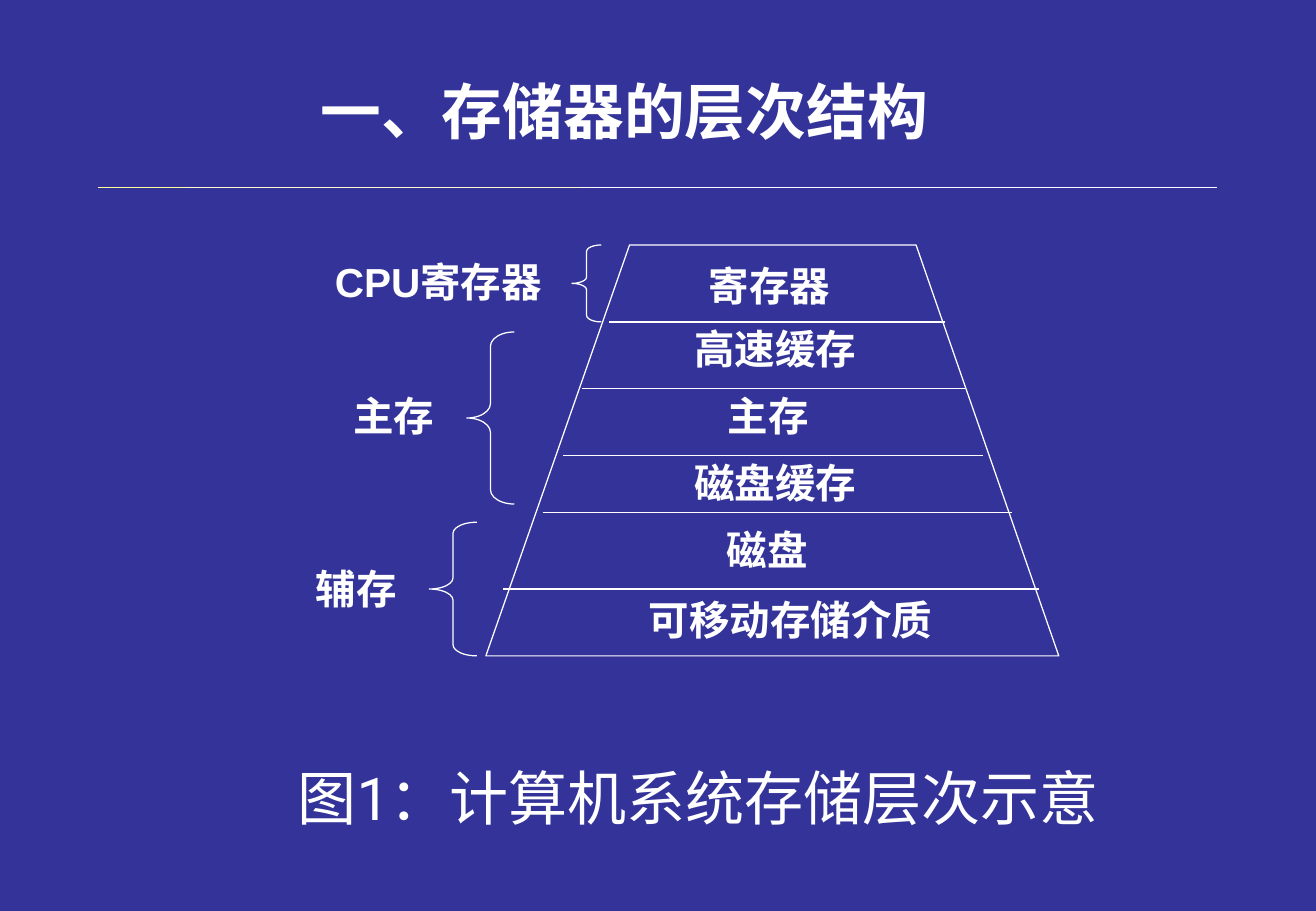
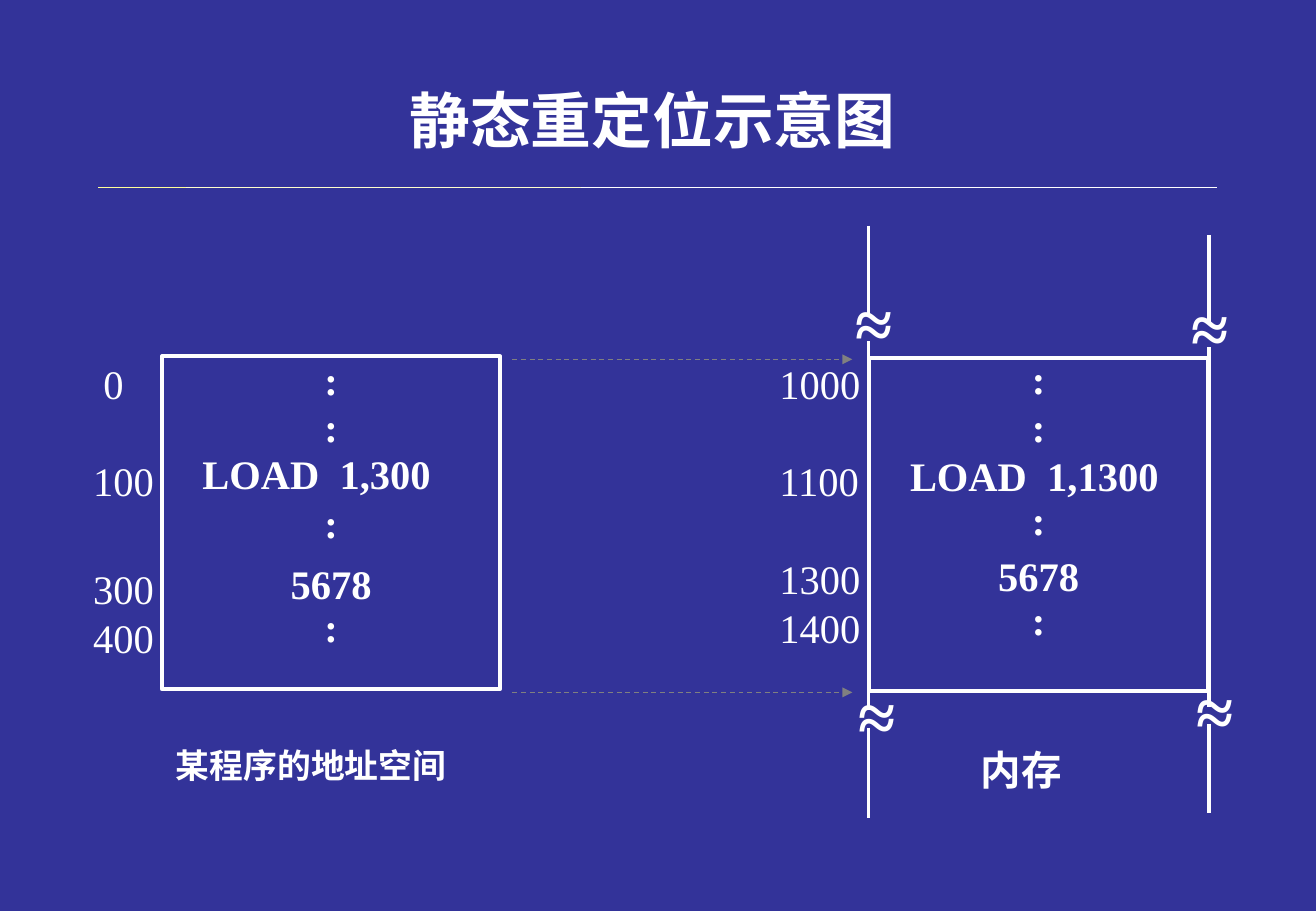
from lxml import etree
from pptx import Presentation
from pptx import util as u
from pptx.dml.color import RGBColor
from pptx.enum import dml, shapes, text
from pptx.oxml.ns import qn

COLORS = {"back": "333399", "white": "FFFFFF", "cream": "FFFFCC",
          "yellow": "FFFF99", "gray": "808080"}
RGB = {k: RGBColor.from_string(v) for k, v in COLORS.items()}
COLS, ROWS = 130, 90
CELL = u.Inches(1 / 12)
LEFT, CENTER = text.PP_ALIGN.LEFT, text.PP_ALIGN.CENTER
CJK = "Noto Sans CJK SC"


def write(sp, at, paras, name="Arial", size=24, bold=True, inset=(1.2, 0.6),
          anchor=text.MSO_ANCHOR.TOP):
    sp.left, sp.top, sp.width, sp.height = [round(v * CELL) for v in at]
    tf = sp.text_frame
    frame = {"word_wrap": True, "auto_size": text.MSO_AUTO_SIZE.NONE,
             "vertical_anchor": anchor,
             "margin_left": round(inset[0] * CELL), "margin_right": round(inset[0] * CELL),
             "margin_top": round(inset[1] * CELL), "margin_bottom": round(inset[1] * CELL)}
    for key, value in frame.items():
        setattr(tf, key, value)
    for i, (words, align, lead, before, indent) in enumerate(paras):
        p = tf.add_paragraph() if i else tf.paragraphs[0]
        pPr = p._p.get_or_add_pPr()
        pPr.set("marL", str(round(indent * CELL)))
        pPr.set("indent", "0")
        etree.SubElement(pPr, qn("a:buNone"))
        for key, value in {"alignment": align, "space_before": u.Pt(before),
                           "line_spacing": u.Pt(lead) if lead else 1.0}.items():
            setattr(p, key, value)
        r = p.add_run()
        r.text = words
        for key, value in {"name": name, "size": u.Pt(size), "bold": bold}.items():
            setattr(r.font, key, value)
        r.font.color.rgb = RGB["white"]
        etree.SubElement(r._r.get_or_add_rPr(), qn("a:ea")).set("typeface", CJK)


def line(s, x1, y1, x2, y2, color="white", width=0.75):
    c = s.shapes.add_connector(shapes.MSO_CONNECTOR.STRAIGHT,
                               *[round(v * CELL) for v in (x1, y1, x2, y2)])
    c.line.color.rgb = RGB[color]
    c.line.width = u.Pt(width)
    etree.SubElement(c.element.spPr, qn("a:effectLst"))
    return c


prs = Presentation()
prs.slide_width, prs.slide_height = COLS * CELL, ROWS * CELL
master = prs.slide_master
master.background.fill.solid()
master.background.fill.fore_color.rgb = RGB["back"]

slides = []
for layout, title, at, name in [
        (1, "一、存储器的层次结构", (6.4, 3.4, 110.5, 15), "Roboto"),
        (5, "静态重定位示意图", (9.2, 5.3, 110.5, 13), CJK)]:
    s = prs.slides.add_slide(prs.slide_layouts[layout])
    write(s.shapes.title, at, [(title, CENTER, None, 0, 0)], name, 36,
          anchor=text.MSO_ANCHOR.MIDDLE)
    slides.append(s)

s = slides[0]
for i, (x1, x2, color) in enumerate([(9.7, 18.4, "yellow"), (18.4, 57.4, "cream"),
                                     (57.4, 120.2, "white")]):
    rule = line(s, x1, 18.5, x2, 18.5, color)
    rule.element.nvCxnSpPr.cNvPr.id = 20 + i
    master.shapes.element.append(rule.element)

write(s.placeholders[1], (28.2, 74.6, 87.8, 13.5),
      [("图1：计算机系统存储层次示意", LEFT, 42, 0, 0)], "Roboto", 35, False)

corners = [(62.2, 24.2), (90.5, 24.2), (104.6, 64.8), (48, 64.8)]
points = [(round(x * CELL), round(y * CELL)) for x, y in corners]
builder = s.shapes.build_freeform(*points[0])
builder.add_line_segments(points[1:], close=True)
outlines = [builder.convert_to_shape()]

for x, y, w, h, curve in [(56.5, 24.2, 2.9, 7.6, 0.222), (46.1, 32.8, 4.7, 17, 0.3),
                          (42.4, 51.6, 4.7, 13.2, 0.233)]:
    sp = s.shapes.add_shape(shapes.MSO_SHAPE.LEFT_BRACE,
                            *[round(v * CELL) for v in (x, y, w, h)])
    sp.adjustments[0] = curve
    outlines.append(sp)
for sp in outlines:
    sp.shadow.inherit = False
    sp.fill.background()
    sp.line.color.rgb = RGB["white"]
    sp.line.width = u.Pt(0.75)

for x1, x2, y in [(60.2, 93.4, 31.8), (57.5, 95.3, 38.4), (55.6, 97.1, 45),
                  (53.6, 100, 50.6), (49.7, 102.6, 58.2)]:
    line(s, x1, y, x2, y)

for words, middle, top, width in [
        ("寄存器", 76, 25.2, 14.8), ("高速缓存", 76.6, 31.4, 18.8),
        ("主存", 75.9, 38, 10.8), ("磁盘缓存", 76.6, 44.6, 18.8),
        ("磁盘", 75.8, 51.2, 10.8), ("可移动存储介质", 78.1, 58.2, 30.8),
        ("CPU寄存器", 43.3, 24.8, 22.9), ("主存", 38.9, 38, 10.8),
        ("辅存", 35.2, 55.1, 10.8)]:
    write(s.shapes.add_textbox(0, 0, 0, 0), (middle - width / 2, top, width, 6),
          [(words, CENTER, 29, 0, 0)])

s = slides[1]
SERIF = "Times New Roman"
for x, spans in [(85.8, [(22.3, 31.2), (33.7, 70.1), (71.9, 80.8)]),
                 (119.4, [(23.2, 31.8), (34.3, 69.8), (71.5, 80.3)])]:
    for y1, y2 in spans:
        line(s, x, y1, x, y2, width=2.25)

words = [":", ":", "LOAD  1,300", ":", "5678", ":"]
before = [0, 3, 3, 0, 7.2, 0]
for x, y, load, leads in [(16, 35.2, "LOAD  1,300", [28, 25, 25, 29, 29, 25]),
                          (85.9, 35.4, "LOAD  1,1300", [26] * 6)]:
    words[2] = load
    sp = s.shapes.add_shape(shapes.MSO_SHAPE.RECTANGLE, 0, 0, 0, 0)
    sp.shadow.inherit = False
    sp.fill.background()
    sp.line.color.rgb = RGB["white"]
    sp.line.width = u.Pt(2.25)
    paras = [(w, LEFT if w == load else CENTER, lead, gap, 4 if w == load else 0)
             for w, lead, gap in zip(words, leads, before)]
    write(sp, (x, y, 33.4, 32.9), paras, SERIF, inset=(0, 0))

for x, addresses, gaps in [(9.2, ["0", "100", "300", "400"], [0, 29, 35, 0]),
                           (77, ["1000", "1100", "1300", "1400"], [0, 29, 29, 0])]:
    paras = [(a, LEFT, 29, gap, 1 if a == "0" else 0) for a, gap in zip(addresses, gaps)]
    write(s.shapes.add_textbox(0, 0, 0, 0), (x, 35.4, 9.5, 21.6), paras, SERIF,
          bold=False, inset=(0, 0))

for y in (35.5, 68.4):
    arrow = line(s, 50.6, y, 84.2, y, "gray")
    arrow.line.dash_style = dml.MSO_LINE.DASH
    etree.SubElement(arrow.line._get_or_add_ln(), qn("a:tailEnd")).set("type", "triangle")

for x, y in [(83.3, 27.2), (83.6, 66), (116.5, 27.7), (117, 65.5)]:
    write(s.shapes.add_textbox(0, 0, 0, 0), (x, y, 7.5, 7.8),
          [("≈", LEFT, None, 0, 0)], SERIF, 40)

for label, at, size, lead in [("某程序的地址空间", (16.2, 73, 34.8, 9.2), 20, 24),
                              ("内存", (95.7, 73, 10.8, 6), 24, 29)]:
    write(s.shapes.add_textbox(0, 0, 0, 0), at, [(label, LEFT, lead, 0, 0)], SERIF, size)

prs.save("out.pptx")
